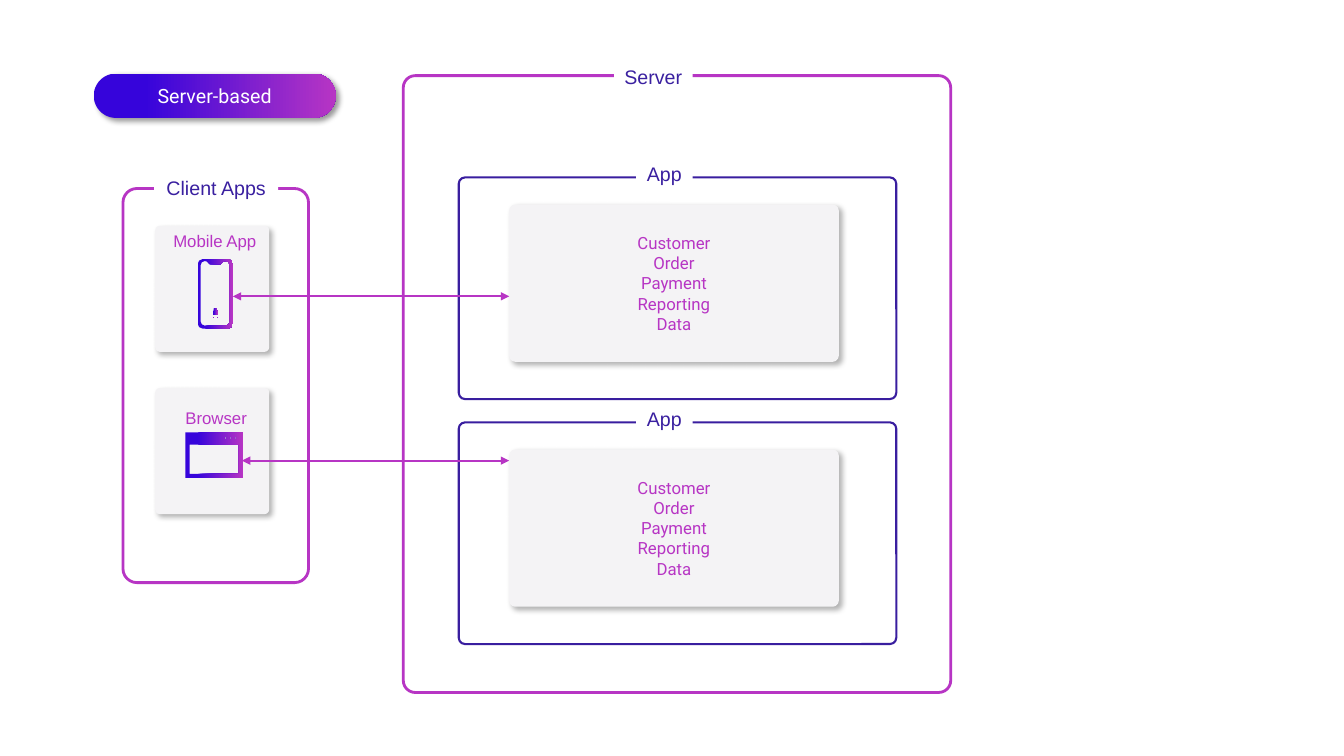
import math

import pptx
import pptx.dml.color
import pptx.enum.shapes
import pptx.enum.text
import pptx.oxml
import pptx.oxml.ns
import pptx.util

Inches = pptx.util.Inches
SHAPE = pptx.enum.shapes.MSO_SHAPE
ALIGN = pptx.enum.text.PP_ALIGN
ANCHOR = pptx.enum.text.MSO_ANCHOR
FIT = pptx.enum.text.MSO_AUTO_SIZE.SHAPE_TO_FIT_TEXT

# Content: boxes are left, top, width, height in inches
TITLE = ("Server-based", (0.93, 0.73, 2.4, 0.44))
SERVICES = ["Customer", "Order", "Payment", "Reporting", "Data"]
CLIENT_FRAME = ("Client Apps", (1.22, 1.87, 1.84, 3.91), (1.53, 1.7, 1.23, 0.34))
SERVER_FRAME = ("Server", (4, 0.75, 5.43, 6.12), (6.09, 0.59, 0.78, 0.34))
CLIENTS = [  # name, card top, label box
    ("Mobile App", 2.24, (1.62, 2.24, 1.05, 0.3)),
    ("Browser", 3.85, (1.74, 4, 0.82, 0.3)),
]
APP_TOPS = [1.76, 4.19]
LINKS = [(2.4, 4.57), (2.31, 2.94)]  # start of each link: x, y
LINK_END = 5.05

PURPLE, INDIGO, NAVY = "B735C4", "3A20A0", "391E9F"
BLUE, GREY, WHITE = "3604DB", "F4F3F5", "FFFFFF"
UNITS = 1000  # outline units per inch

presentation = pptx.Presentation()
presentation.slide_width = Inches(13.33)
presentation.slide_height = Inches(7.5)
slide = presentation.slides.add_slide(presentation.slide_layouts[6])


def color(value):
    return pptx.dml.color.RGBColor.from_string(value)


def set_effects(shape, content=""):
    properties = shape._element.spPr
    for effects in properties.findall(pptx.oxml.ns.qn("a:effectLst")):
        properties.remove(effects)
    namespace = pptx.oxml.ns.nsdecls("a")
    xml = f"<a:effectLst {namespace}>{content}</a:effectLst>"
    properties.append(pptx.oxml.parse_xml(xml))


def add_shadow(shape, opacity):
    set_effects(shape, '<a:outerShdw blurRad="50800" dist="38100" dir="2700000" '
                'algn="tl" rotWithShape="0"><a:srgbClr val="000000">'
                f'<a:alpha val="{opacity * 1000}"/></a:srgbClr></a:outerShdw>')


def fill_gradient(shape):
    shape.fill.gradient()
    shape.fill.gradient_angle = 0
    for stop, position, value in zip(shape.fill.gradient_stops, (0.21, 1), (BLUE, PURPLE)):
        stop.position = position
        stop.color.rgb = color(value)


def add_box(box, kind=SHAPE.ROUNDED_RECTANGLE, radius=None, fill=None, line=None, width=2):
    shape = slide.shapes.add_shape(kind, *map(Inches, box))
    if radius is not None:
        shape.adjustments[0] = radius
    if fill:
        shape.fill.solid()
        shape.fill.fore_color.rgb = color(fill)
    else:
        shape.fill.background()
    if line:
        shape.line.color.rgb = color(line)
        shape.line.width = pptx.util.Pt(width)
    else:
        shape.line.fill.background()
    shape.shadow.inherit = False
    return shape


def write(shape, lines, size=14, font="Arial", value=INDIGO, align=ALIGN.CENTER,
          anchor=ANCHOR.TOP, wrap=True, fit=None):
    frame = shape.text_frame
    frame.word_wrap = wrap
    frame.vertical_anchor = anchor
    if fit:
        frame.auto_size = fit
    for index, line in enumerate(lines):
        paragraph = frame.add_paragraph() if index else frame.paragraphs[0]
        paragraph.text = line
        paragraph.alignment = align
        paragraph.font.size = pptx.util.Pt(size)
        paragraph.font.name = font
        paragraph.font.color.rgb = color(value)


def add_card(box):
    card = add_box(box, radius=0.039, fill=GREY)
    add_shadow(card, 30)
    return card


def add_frame(label, box, label_box, wrap=False, **style):
    add_box(box, **style)
    write(add_box(label_box, SHAPE.RECTANGLE, fill=WHITE), [label], wrap=wrap, fit=FIT)


def rounded(left, top, right, bottom, radius=0, steps=2):
    """Outline points, clockwise from the top left corner."""
    if not radius:
        return [(left, top), (right, top), (right, bottom), (left, bottom)]
    corners = [(left + radius, top + radius, 180), (right - radius, top + radius, 270),
               (right - radius, bottom - radius, 0), (left + radius, bottom - radius, 90)]
    points = []
    for x, y, start in corners:
        for step in range(steps + 1):
            angle = math.radians(start + 90 * step / steps)
            points.append((x + radius * math.cos(angle), y + radius * math.sin(angle)))
    return points


def add_icon(*outlines):
    outlines = [[(x * UNITS, y * UNITS) for x, y in outline] for outline in outlines]
    builder = slide.shapes.build_freeform(*outlines[0][0], scale=Inches(1) / UNITS)
    for index, outline in enumerate(outlines):
        if index:
            builder.move_to(*outline[0])
        builder.add_line_segments(outline[1:], close=True)
    icon = builder.convert_to_shape()
    fill_gradient(icon)
    icon.line.fill.background()
    icon.shadow.inherit = False


# Client side
for name, top, label_box in reversed(CLIENTS):
    add_card((1.54, top, 1.13, 1.25))
label, box, label_box = CLIENT_FRAME
add_frame(label, box, label_box, wrap=True, radius=0.075, line=PURPLE)

# Phone icon: body and screen with notch, two feet, robot, speaker
screen = rounded(1.99, 2.59, 2.28, 3.23, 0.04)
notch = [(2.05, 2.59), (2.08, 2.62), (2.19, 2.62), (2.22, 2.59)]
add_icon(rounded(1.96, 2.57, 2.31, 3.26, 0.05), screen[:3] + notch + screen[3:])
for left in (2.11, 2.15):
    add_icon(rounded(left, 3.14, left + 0.01, 3.15))
add_icon([(2.12, 3.08), (2.12, 3.06), (2.15, 3.06), (2.15, 3.08),
          (2.16, 3.09), (2.16, 3.12), (2.15, 3.13), (2.12, 3.13), (2.11, 3.12), (2.11, 3.09)])
add_icon(rounded(2.19, 2.59, 2.2, 2.6))

# Browser icon: window, three buttons, page
add_icon(rounded(1.84, 4.29, 2.41, 4.74),
         *[rounded(left, 4.33, left + 0.03, 4.36, 0.015, 1) for left in (2.32, 2.27, 2.22)],
         rounded(1.88, 4.41, 2.37, 4.7))

for name, top, label_box in CLIENTS:
    text_box = slide.shapes.add_textbox(*map(Inches, label_box))
    write(text_box, [name], size=12, value=PURPLE, align=ALIGN.LEFT, wrap=False, fit=FIT)

# Title pill
title, box = TITLE
pill = add_box(box, radius=0.5)
fill_gradient(pill)
add_shadow(pill, 40)
write(pill, [title], font="Roboto", value=WHITE, anchor=ANCHOR.MIDDLE)

# Server side
label, box, label_box = SERVER_FRAME
add_frame(label, box, label_box, radius=0.022, line=PURPLE)
for top in APP_TOPS:
    card = add_card((LINK_END, top + 0.27, 3.27, 1.56))
    write(card, SERVICES, size=12, font="Roboto", value=PURPLE, anchor=ANCHOR.MIDDLE)
    add_frame("App", (4.55, top, 4.34, 2.2), (6.31, top - 0.2, 0.56, 0.34),
              radius=0.029, line=NAVY, width=1.5)

# Links between clients and apps
for x, y in LINKS:
    link = slide.shapes.add_connector(pptx.enum.shapes.MSO_CONNECTOR.STRAIGHT,
                                      Inches(x), Inches(y), Inches(LINK_END), Inches(y))
    link.line.color.rgb = color(PURPLE)
    link.line.width = pptx.util.Pt(1.5)
    for end in ("headEnd", "tailEnd"):
        link.line._get_or_add_ln().append(pptx.oxml.parse_xml(
            f'<a:{end} {pptx.oxml.ns.nsdecls("a")} type="triangle"/>'))
    set_effects(link)

presentation.save("out.pptx")
